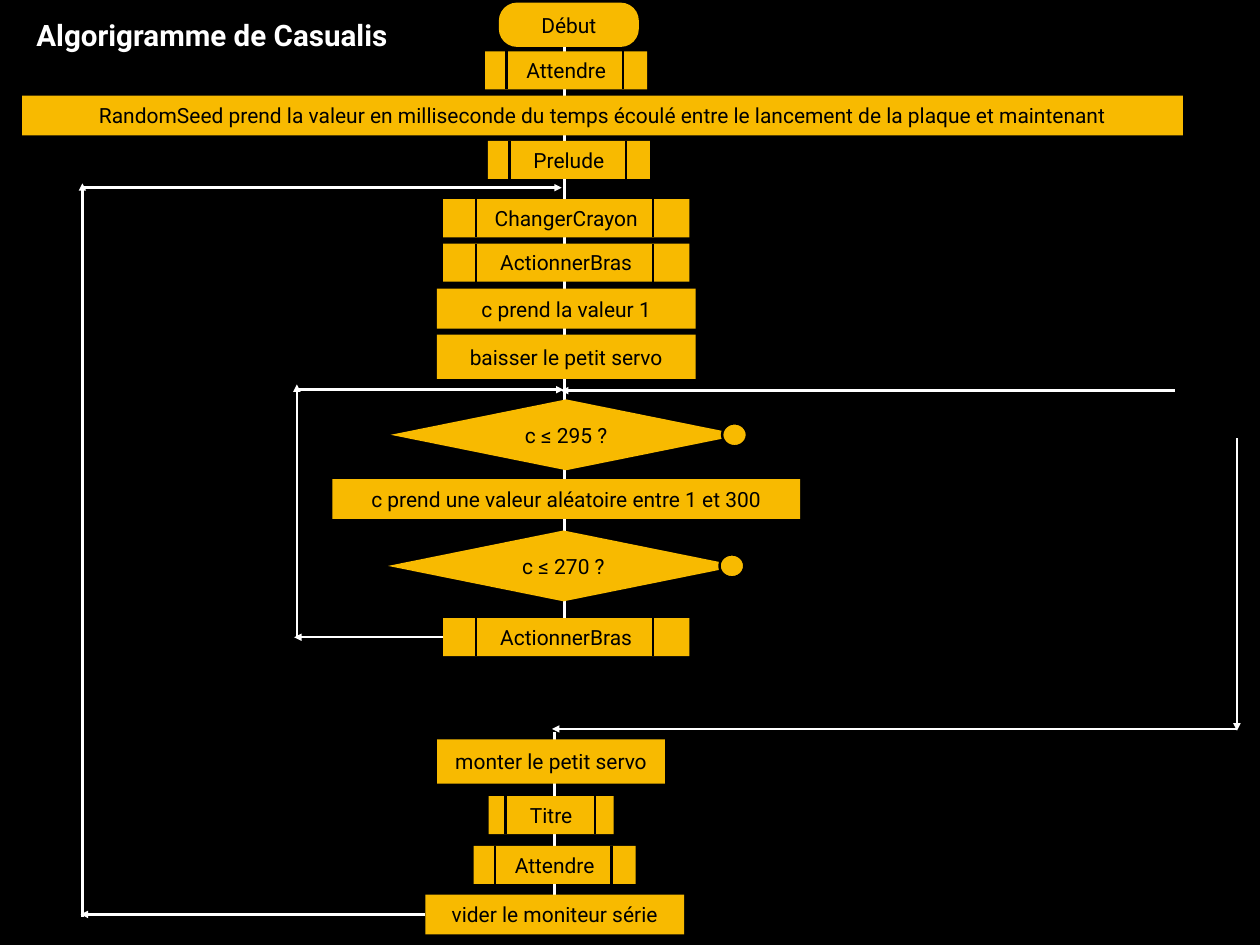
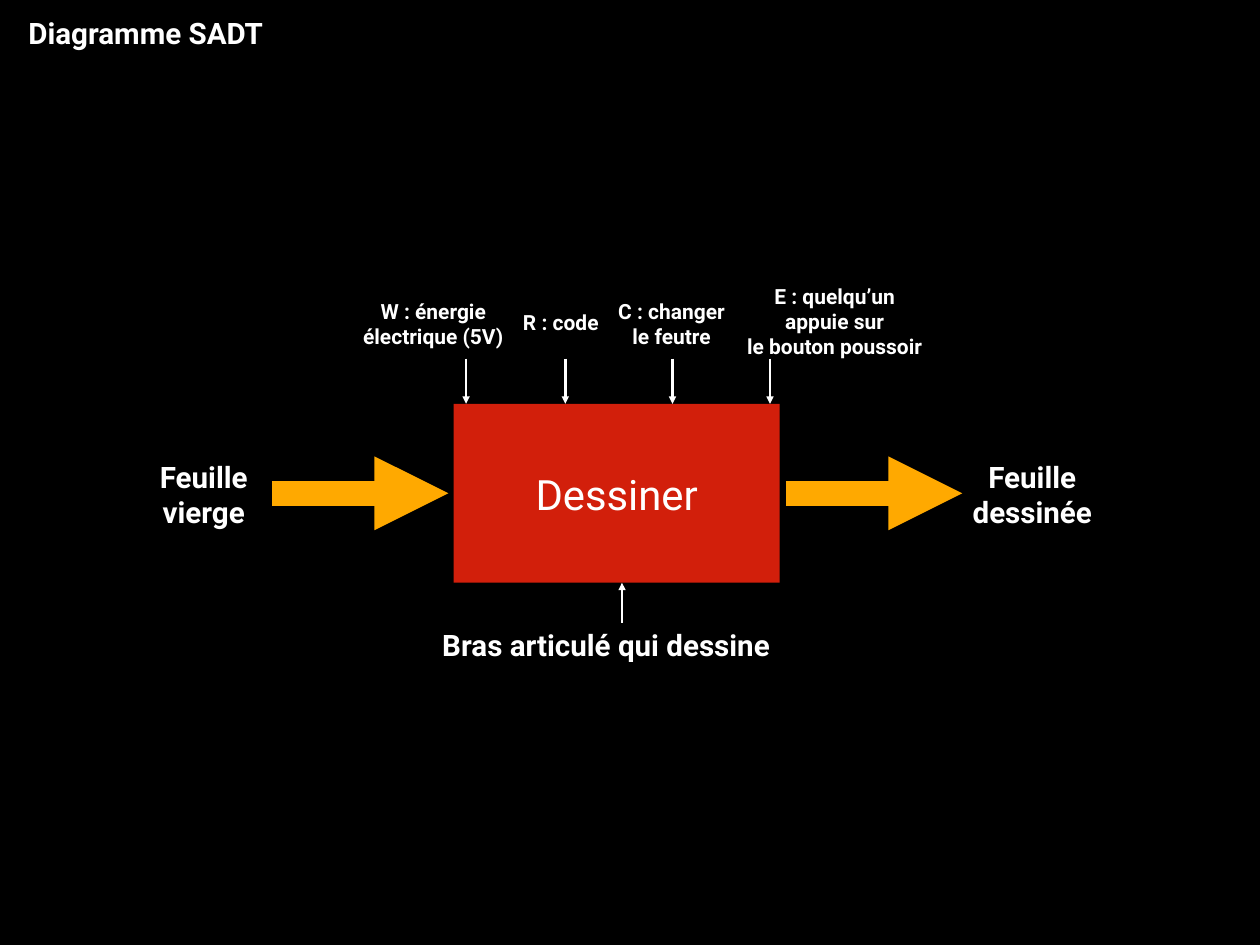
"""Build two slides: the flowchart of a drawing robot and its SADT diagram."""
from lxml import etree
from pptx import Presentation
from pptx.dml.color import RGBColor
from pptx.enum.shapes import MSO_CONNECTOR, MSO_SHAPE
from pptx.enum.text import MSO_ANCHOR, MSO_AUTO_SIZE, PP_ALIGN
from pptx.oxml.ns import qn
from pptx.util import Inches, Pt

STRAIGHT = MSO_CONNECTOR.STRAIGHT
RECT, ROUND = MSO_SHAPE.RECTANGLE, MSO_SHAPE.ROUNDED_RECTANGLE
DIAMOND, OVAL = MSO_SHAPE.DIAMOND, MSO_SHAPE.OVAL
LEFT, CENTER, MIDDLE = PP_ALIGN.LEFT, PP_ALIGN.CENTER, MSO_ANCHOR.MIDDLE
NO_FIT = MSO_AUTO_SIZE.NONE

WIDTH, HEIGHT = 14.22, 10.67
FONT = "Roboto"
COLORS = {"black": "000000", "white": "FFFFFF", "step": "F8BA00",
          "activity": "D21F0B", "flow": "FFA900"}
SMALL, LARGE, HUGE = 17, 24, 34
INSET = 0.06
BARS = (0.133, 0.852)

STYLES = {"start": (ROUND, 0.5), "call": (RECT, 0.43), "step": (RECT, 0.45),
          "servo": (RECT, 0.5), "test": (DIAMOND, 0.8)}

FLOW_TITLE = ("Algorigramme de Casualis", 0.35, 0.14)
# kind, text, centre, top, width
STEPS = [
    ("start", "Début", 6.42, 0.03, 1.58),
    ("call", "Attendre", 6.39, 0.58, 1.83),
    ("step", "RandomSeed prend la valeur en milliseconde du temps écoulé "
             "entre le lancement de la plaque et maintenant", 6.8, 1.08, 13.1),
    ("call", "Prelude", 6.42, 1.59, 1.83),
    ("call", "ChangerCrayon", 6.39, 2.25, 2.78),
    ("call", "ActionnerBras", 6.39, 2.75, 2.78),
    ("step", "c prend la valeur 1", 6.39, 3.26, 2.92),
    ("servo", "baisser le petit servo", 6.39, 3.78, 2.92),
    ("test", "c ≤ 295 ?", 6.39, 4.51, 3.96),
    ("step", "c prend une valeur aléatoire entre 1 et 300", 6.39, 5.41, 5.28),
    ("test", "c ≤ 270 ?", 6.36, 5.99, 3.96),
    ("call", "ActionnerBras", 6.39, 6.98, 2.78),
    ("servo", "monter le petit servo", 6.22, 8.35, 2.57),
    ("call", "Titre", 6.22, 8.99, 1.41),
    ("call", "Attendre", 6.26, 9.55, 1.83),
    ("step", "vider le moniteur série", 6.26, 10.1, 2.92),
]
SPINES = [(6.37, 0.48, 6.37, 7.15), (6.26, 8.26, 6.26, 10.27)]
LOOPS = [
    (3.35, 7.18, 3.35, 4.34), (3.34, 4.4, 6.36, 4.4),
    (0.93, 10.35, 0.93, 2.07), (0.94, 2.12, 6.34, 2.12),
    (13.26, 4.41, 6.33, 4.41),
    (13.96, 4.95, 13.96, 8.25), (13.96, 8.23, 6.23, 8.23),
]
RETURNS = [(11, 3.32), (15, 0.91)]

SADT_TITLE = ("Diagramme SADT", 0.26, 0.12)
ACTIVITY = ("Dessiner", 5.12, 4.56, 3.68, 2.02)
# text, centre, middle, size
LABELS = [
    ("W : énergie\nélectrique (5V)", 4.89, 3.65, SMALL),
    ("R : code", 6.33, 3.64, SMALL),
    ("C : changer\nle feutre", 7.58, 3.65, SMALL),
    ("E : quelqu’un\nappuie sur\nle bouton poussoir", 9.42, 3.63, SMALL),
    ("Feuille\nvierge", 2.3, 5.58, LARGE),
    ("Feuille\ndessinée", 11.65, 5.58, LARGE),
    ("Bras articulé qui dessine", 6.84, 7.28, LARGE),
]
CONTROLS = [5.26, 6.38, 7.59, 8.69]
FLOWS = [3.07, 8.87]


def rgb(name):
    """Return a palette colour."""
    return RGBColor.from_string(COLORS[name])


def write(sp, text, size=SMALL, color="black", bold=False, align=CENTER):
    """Fill a shape with formatted text, one paragraph a line."""
    tf = sp.text_frame
    tf.word_wrap, tf.auto_size, tf.vertical_anchor = True, NO_FIT, MIDDLE
    tf.margin_left = tf.margin_right = Inches(INSET)
    tf.margin_top = tf.margin_bottom = Inches(INSET)
    for i, line in enumerate(text.split("\n")):
        p = tf.add_paragraph() if i else tf.paragraphs[0]
        p.alignment = align
        r = p.add_run()
        r.text = line
        r.font.name, r.font.size, r.font.bold = FONT, Pt(size), bold
        r.font.color.rgb = rgb(color)


def add_box(shapes, shape, x, y, w, h, fill="step", line=None):
    """Add a flat filled shape."""
    sp = shapes.add_shape(shape, *map(Inches, (x, y, w, h)))
    sp.shadow.inherit = False
    sp.fill.solid()
    sp.fill.fore_color.rgb = rgb(fill)
    if line:
        sp.line.color.rgb = rgb(line)
        sp.line.width = Pt(2)
    else:
        sp.line.fill.background()
    return sp


def add_line(shapes, ends, color="white", width=2, arrow=True):
    """Add a straight line, with an arrowhead at its end by default."""
    c = shapes.add_connector(STRAIGHT, *map(Inches, ends))
    c.line.color.rgb = rgb(color)
    c.line.width = Pt(width)
    spPr = c.element.spPr
    if arrow:
        etree.SubElement(spPr.find(qn("a:ln")), qn("a:tailEnd"), type="triangle")
    etree.SubElement(spPr, qn("a:effectLst"))
    return c


def add_step(slide, kind, text, centre, top, w):
    """Add one flowchart step and return its main shape."""
    shape, h = STYLES[kind]
    x = centre - w / 2
    grouped = kind in ("call", "test")
    shapes = slide.shapes.add_group_shape().shapes if grouped else slide.shapes
    sp = add_box(shapes, shape, x, top, w, h)
    write(sp, text)
    if kind == "start":
        sp.adjustments[0] = 0.41
    elif kind == "call":
        for share in BARS:
            bar = x + share * w
            add_line(shapes, (bar, top, bar, top + h), "black", arrow=False)
    elif kind == "test":
        add_box(shapes, OVAL, x + 3.74, top + 0.27, 0.28, 0.26, line="black")
    return sp


def add_slide(prs, title, left, top):
    """Add a slide with its title."""
    slide = prs.slides.add_slide(prs.slide_layouts[5])
    sp = slide.shapes.title
    sp.left, sp.top, sp.width, sp.height = map(Inches, (left, top, 4.5, 0.5))
    write(sp, title, size=LARGE, color="white", bold=True, align=LEFT)
    return slide


def build_flowchart(prs):
    """Draw the flowchart."""
    slide = add_slide(prs, *FLOW_TITLE)
    for ends in SPINES:
        add_line(slide.shapes, ends)
    boxes = [add_step(slide, *step) for step in STEPS]
    for ends in LOOPS:
        add_line(slide.shapes, ends)
    for index, end in RETURNS:
        kind, _, centre, top, w = STEPS[index]
        y = top + STYLES[kind][1] / 2
        c = add_line(slide.shapes, (centre - w / 2, y, end, y))
        c.begin_connect(boxes[index], 1)


def build_sadt(prs):
    """Draw the SADT diagram."""
    slide = add_slide(prs, *SADT_TITLE)
    text, x, y, w, h = ACTIVITY
    sp = add_box(slide.shapes, RECT, x, y, w, h, fill="activity")
    write(sp, text, size=HUGE, color="white")
    for label, centre, middle, size in LABELS:
        lines = label.split("\n")
        bw = max(map(len, lines)) * size / 100 + 0.4
        bh = len(lines) * size / 60 + 2 * INSET
        tb = slide.shapes.add_textbox(*map(
            Inches, (centre - bw / 2, middle - bh / 2, bw, bh)))
        write(tb, label, size=size, color="white", bold=True)
    for cx in CONTROLS:
        add_line(slide.shapes, (cx, y - 0.51, cx, y))
    add_line(slide.shapes, (7.02, y + h + 0.45, 7.02, y + h))
    for start in FLOWS:
        add_line(slide.shapes, (start, y + h / 2, start + 1.99, y + h / 2),
                 "flow", width=20)


def main():
    """Create and save the presentation."""
    prs = Presentation()
    prs.slide_width, prs.slide_height = Inches(WIDTH), Inches(HEIGHT)
    fill = prs.slide_master.background.fill
    fill.solid()
    fill.fore_color.rgb = rgb("black")
    build_flowchart(prs)
    build_sadt(prs)
    prs.save("out.pptx")


if __name__ == "__main__":
    main()
